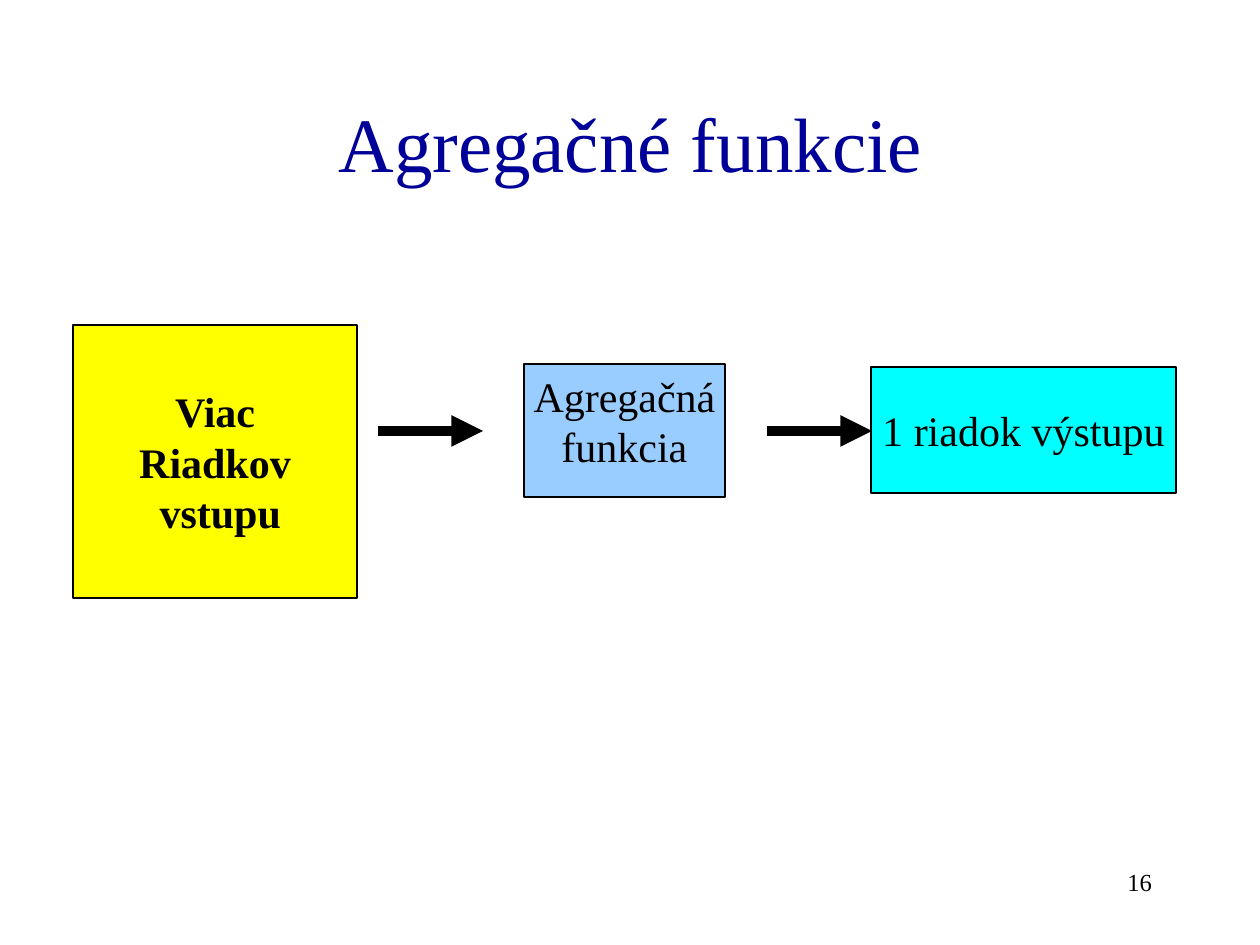
from lxml.etree import SubElement
from pptx import Presentation
from pptx.dml.color import RGBColor
from pptx.enum.shapes import MSO_CONNECTOR, MSO_SHAPE
from pptx.enum.text import MSO_ANCHOR, PP_ALIGN
from pptx.oxml.ns import qn
from pptx.util import Pt

PX = 914400 // 126
FONT = "Times New Roman"
BLACK = RGBColor(0x00, 0x00, 0x00)
NAVY = RGBColor(0x00, 0x00, 0x99)
YELLOW = RGBColor(0xFF, 0xFF, 0x00)
CYAN = RGBColor(0x00, 0xFF, 0xFF)
LIGHT_BLUE = RGBColor(0x99, 0xCC, 0xFF)

# Content: lines, place (left, top, width, height) and style
TITLE = (["Agregačné funkcie"], (95, 63, 1071, 158))
PAGE_NUMBER = (["16"], (903, 861, 262, 63))
# Stages add fill, bold, anchor, side margin and wrapping
STAGES = [
    (["Viac", "Riadkov", " vstupu"], (73, 325, 284, 273),
     YELLOW, True, MSO_ANCHOR.MIDDLE, 13, False),
    (["1 riadok výstupu"], (871, 367, 305, 126),
     CYAN, False, MSO_ANCHOR.MIDDLE, 13, False),
    (["Agregačná", "funkcia"], (524, 364, 201, 133),
     LIGHT_BLUE, False, MSO_ANCHOR.TOP, 0, True),
]
ARROW_STARTS = [378, 767]
ARROW_LENGTH, ARROW_Y = 105, 431


def scaled(*lengths):
    return [length * PX for length in lengths]


def write(shape, lines, size, color=BLACK, bold=False, align=PP_ALIGN.CENTER,
          anchor=MSO_ANCHOR.TOP, margin=13, wrap=True):
    frame = shape.text_frame
    frame.word_wrap = wrap
    frame.vertical_anchor = anchor
    frame.margin_left = frame.margin_right = margin * PX
    frame.text = "\n".join(lines)
    for paragraph in frame.paragraphs:
        paragraph.alignment = align
        font = paragraph.font
        font.name, font.size, font.bold = FONT, Pt(size), bold
        font.color.rgb = color


deck = Presentation()
deck.slide_width, deck.slide_height = scaled(1260, 945)
page = deck.slides.add_slide(deck.slide_layouts[6])

# Title
lines, place = TITLE
write(page.shapes.add_textbox(*scaled(*place)), lines, 44, NAVY,
      anchor=MSO_ANCHOR.MIDDLE)

# Stage boxes
for lines, place, fill, bold, anchor, margin, wrap in STAGES:
    box = page.shapes.add_shape(MSO_SHAPE.RECTANGLE, *scaled(*place))
    box.shadow.inherit = False
    box.fill.solid()
    box.fill.fore_color.rgb = fill
    box.line.color.rgb = BLACK
    box.line.width = Pt(0.75)
    write(box, lines, 24, bold=bold, anchor=anchor, margin=margin, wrap=wrap)

# Arrows between the stages
for start in ARROW_STARTS:
    arrow = page.shapes.add_connector(
        MSO_CONNECTOR.STRAIGHT,
        *scaled(start, ARROW_Y, start + ARROW_LENGTH, ARROW_Y))
    arrow.line.color.rgb = BLACK
    arrow.line.width = Pt(6)
    SubElement(arrow.line._get_or_add_ln(), qn("a:tailEnd"), type="triangle")
    SubElement(arrow._element.spPr, qn("a:effectLst"))

# Page number
lines, place = PAGE_NUMBER
write(page.shapes.add_textbox(*scaled(*place)), lines, 14,
      align=PP_ALIGN.RIGHT)

deck.save("out.pptx")
